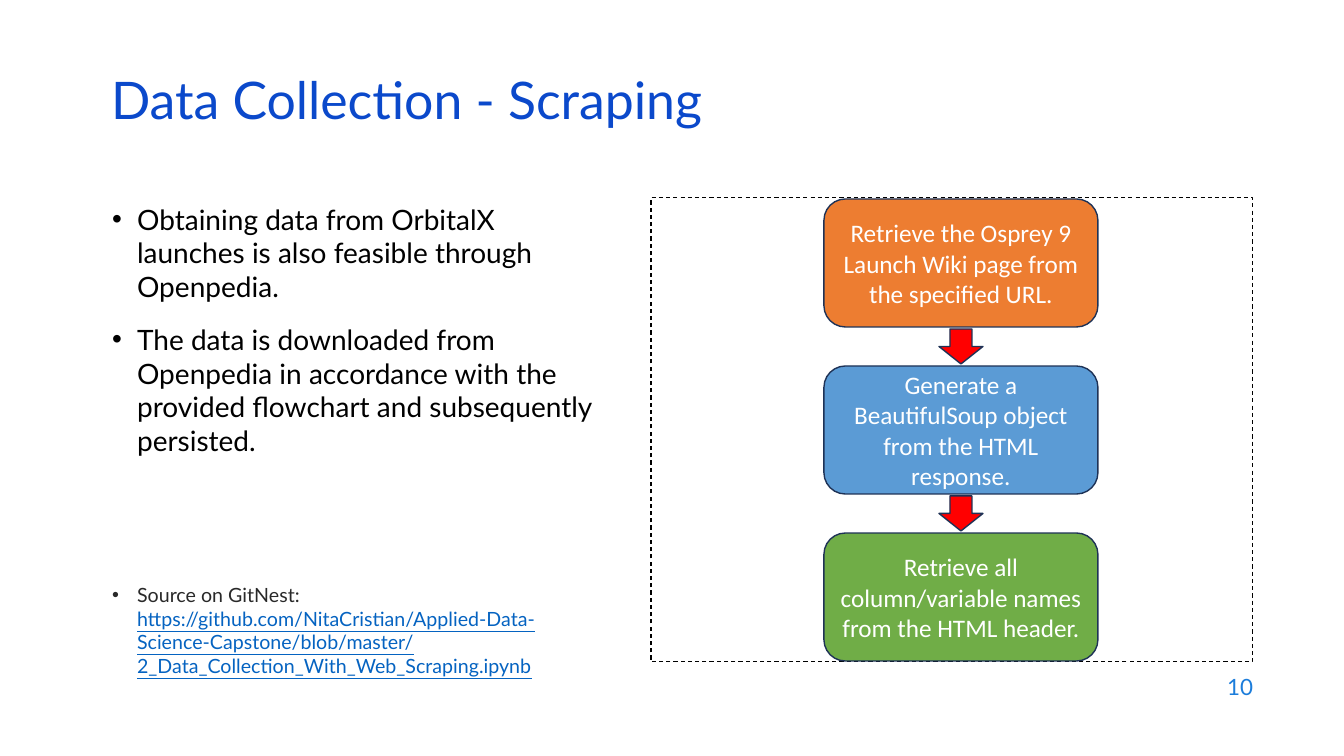
"""Build the slide on data collection by web scraping."""
from pptx import Presentation
from pptx.dml.color import RGBColor
from pptx.enum.dml import MSO_LINE
from pptx.enum.shapes import MSO_SHAPE as Shape
from pptx.enum.text import MSO_ANCHOR as Anchor, MSO_AUTO_SIZE as AutoSize, PP_ALIGN as Align
from pptx.util import Pt

BLUE = RGBColor(0x0B, 0x49, 0xCB)
PAGE_BLUE = RGBColor(0x1C, 0x7D, 0xDB)
LINK_BLUE = RGBColor(0x05, 0x63, 0xC1)
NAVY = RGBColor(0x1E, 0x32, 0x56)
ORANGE = RGBColor(0xED, 0x7D, 0x31)
SKY = RGBColor(0x5B, 0x9B, 0xD5)
GREEN = RGBColor(0x70, 0xAD, 0x47)
RED = RGBColor(0xFF, 0x00, 0x00)
BLACK = RGBColor(0x00, 0x00, 0x00)
GRAY = RGBColor(0x29, 0x29, 0x29)
WHITE = RGBColor(0xFF, 0xFF, 0xFF)

TITLE = "Data Collection - Scraping"
PAGE_NUMBER = "10"
LINK = ("https://github.com/NitaCristian/Applied-Data-Science-Capstone/"
        "blob/master/2_Data_Collection_With_Web_Scraping.ipynb")
BULLETS = [
    ("Obtaining data from OrbitalX launches is also feasible through Openpedia.", 20, BLACK, 0),
    ("The data is downloaded from Openpedia in accordance with the provided "
     "flowchart and subsequently persisted.", 20, BLACK, 14),
    ("Source on GitNest: ", 14, GRAY, 90),
]
STEPS = [
    ("Retrieve the Osprey 9 Launch Wiki page from the specified URL.", ORANGE),
    ("Generate a BeautifulSoup object from the HTML response.", SKY),
    ("Retrieve all column/variable names from the HTML header.", GREEN),
]

STEP_LEFT, STEP_TOP, STEP_WIDTH, STEP_HEIGHT, STEP_PITCH = 824, 199, 274, 128, 167
ARROW_WIDTH, ARROW_HEIGHT, ARROW_GAP = 44, 35, 2


def px(length):
    """Turn pixels into EMU."""
    return round(length * 914400 / 100.8)


def place(shape, left, top, width, height):
    """Move and size a shape in pixels."""
    shape.left, shape.top, shape.width, shape.height = map(px, (left, top, width, height))


def set_font(font, name, size, color):
    """Set the face, size and colour of a font."""
    font.name, font.size = name, Pt(size)
    font.color.rgb = color


def add_block(page, kind, bounds, fill):
    """Add a filled shape with a navy outline."""
    block = page.shapes.add_shape(kind, *map(px, bounds))
    block.shadow.inherit = False
    block.fill.solid()
    block.fill.fore_color.rgb = fill
    block.line.color.rgb = NAVY
    block.line.width = Pt(1)
    return block


def add_title(page):
    """Fill the title placeholder."""
    title = page.shapes.title
    place(title, 101, 76, 1159, 60)
    frame = title.text_frame
    frame.text = TITLE
    frame.auto_size = AutoSize.NONE
    frame.vertical_anchor = Anchor.MIDDLE
    para = frame.paragraphs[0]
    para.alignment = Align.LEFT
    para.line_spacing = 0.7
    set_font(para.font, "Lato", 37, BLUE)


def add_bullets(page):
    """Fill the body placeholder with the bullets and the source link."""
    body = page.placeholders[1]
    place(body, 102, 197, 503, 467)
    frame = body.text_frame
    frame.text = "\n".join(text for text, *_ in BULLETS)
    frame.auto_size = AutoSize.NONE
    for para, (_, size, color, space) in zip(frame.paragraphs, BULLETS):
        properties = para._p.get_or_add_pPr()
        properties.set("marL", str(px(25)))
        properties.set("indent", str(-px(25)))
        para.space_before = Pt(space)
        set_font(para.font, "Lato", size, color)
    span = para.add_run()
    span.text = LINK
    span.font.underline = True
    span.font.color.rgb = LINK_BLUE


def add_page_number(page):
    """Add the page number at the lower right."""
    box = page.shapes.add_textbox(*map(px, (961, 665, 302, 44)))
    frame = box.text_frame
    frame.word_wrap = True
    frame.vertical_anchor = Anchor.MIDDLE
    frame.text = PAGE_NUMBER
    para = frame.paragraphs[0]
    para.alignment = Align.RIGHT
    set_font(para.font, "Lato", 16, PAGE_BLUE)


def add_flowchart(page):
    """Add the dashed border, the steps and the arrows between them."""
    border = page.shapes.add_shape(Shape.RECTANGLE, *map(px, (651, 198, 602, 464)))
    border.shadow.inherit = False
    border.fill.background()
    border.line.color.rgb = BLACK
    border.line.width = Pt(0.75)
    border.line.dash_style = MSO_LINE.DASH

    arrow_left = STEP_LEFT + (STEP_WIDTH - ARROW_WIDTH) / 2
    for index, (text, color) in enumerate(STEPS):
        top = STEP_TOP + index * STEP_PITCH
        step = add_block(page, Shape.FLOWCHART_ALTERNATE_PROCESS,
                         (STEP_LEFT, top, STEP_WIDTH, STEP_HEIGHT), color)
        frame = step.text_frame
        frame.word_wrap = True
        frame.vertical_anchor = Anchor.MIDDLE
        frame.text = text
        para = frame.paragraphs[0]
        para.alignment = Align.CENTER
        set_font(para.font, "Calibri", 18, WHITE)
        if index < len(STEPS) - 1:
            arrow_top = top + STEP_HEIGHT + ARROW_GAP
            add_block(page, Shape.DOWN_ARROW,
                      (arrow_left, arrow_top, ARROW_WIDTH, ARROW_HEIGHT), RED)


def main():
    """Build and save the deck."""
    deck = Presentation()
    deck.slide_width, deck.slide_height = px(1344), px(756)
    page = deck.slides.add_slide(deck.slide_layouts[1])
    add_title(page)
    add_bullets(page)
    add_page_number(page)
    add_flowchart(page)
    deck.save("out.pptx")


if __name__ == "__main__":
    main()
